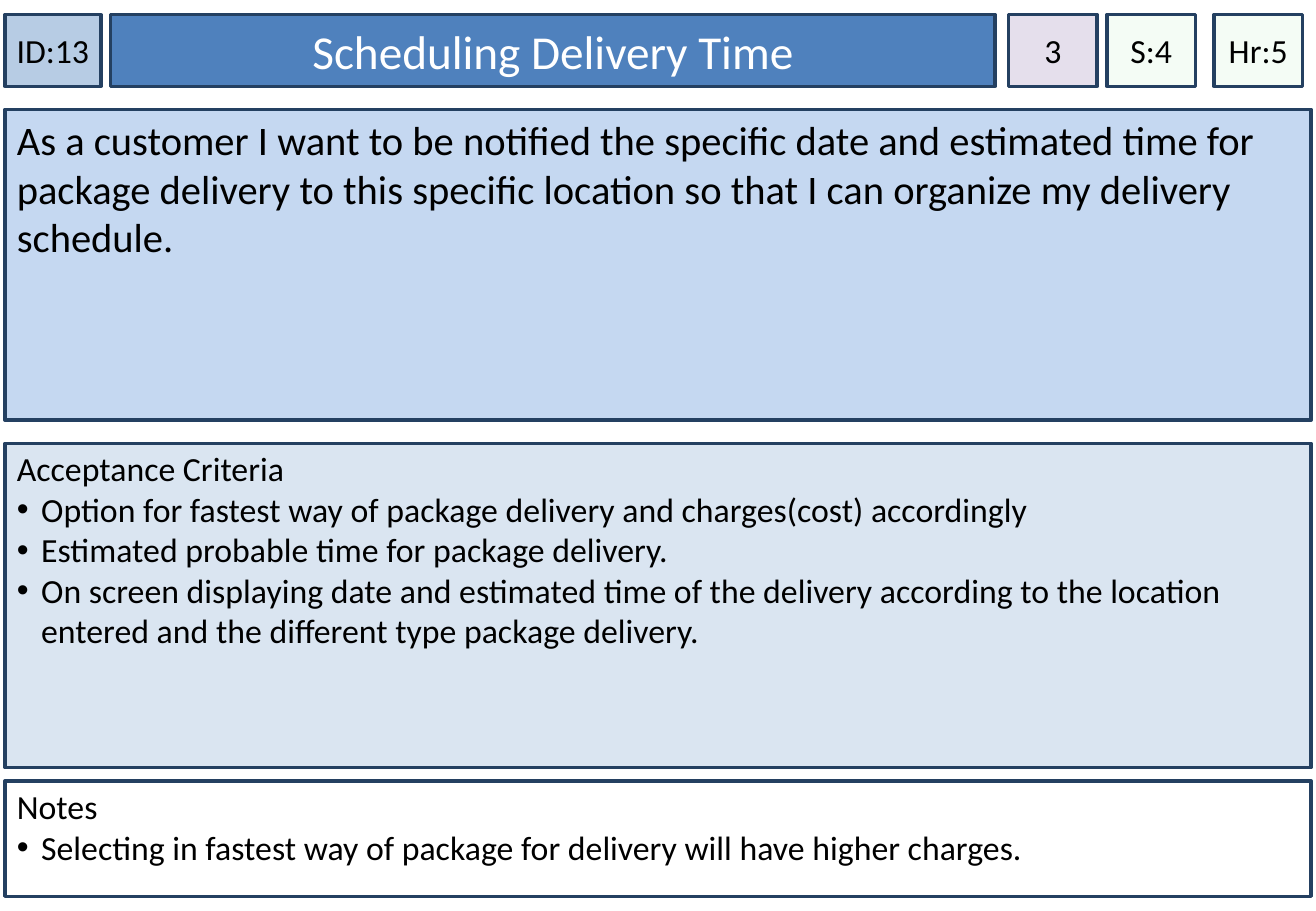
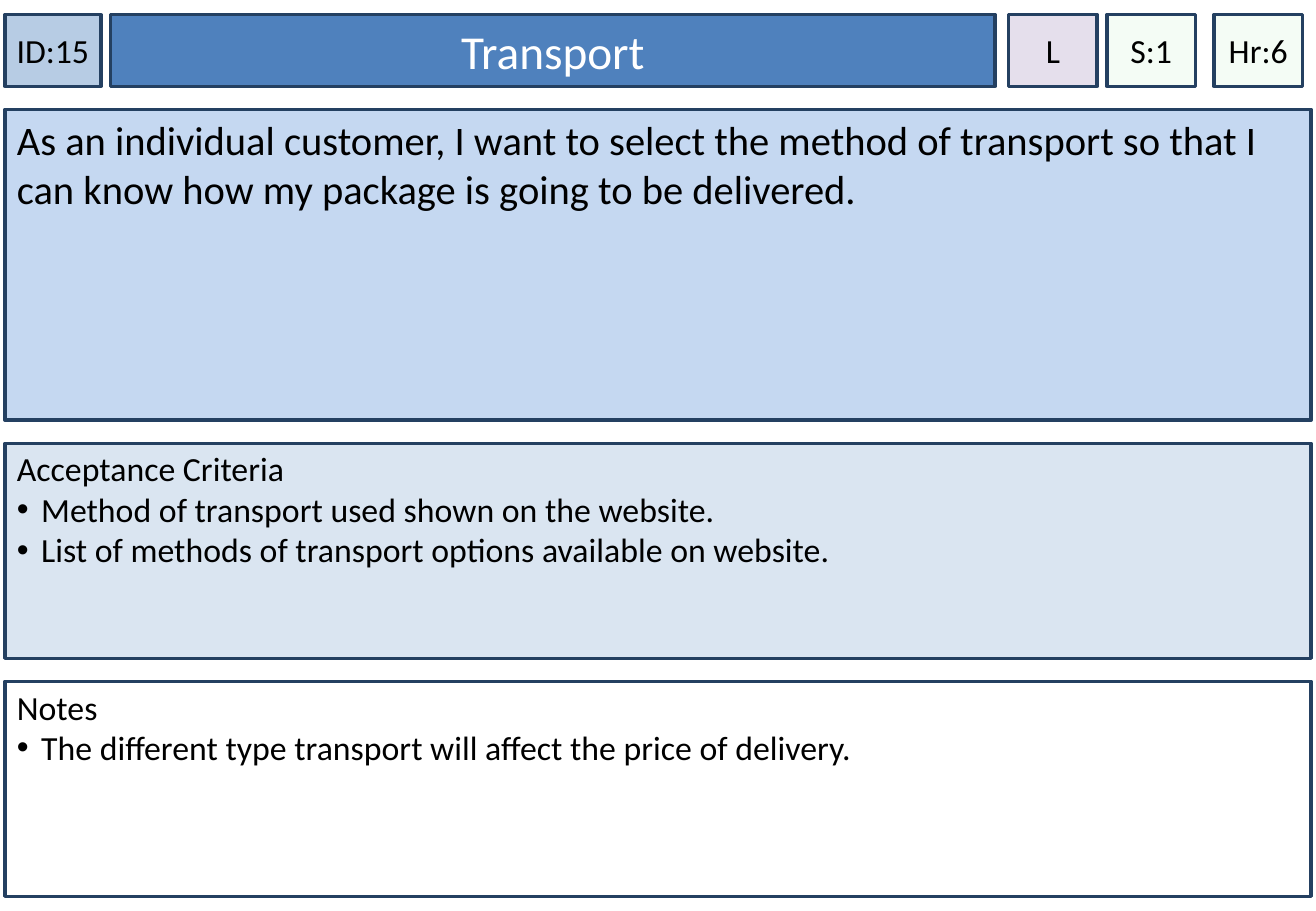
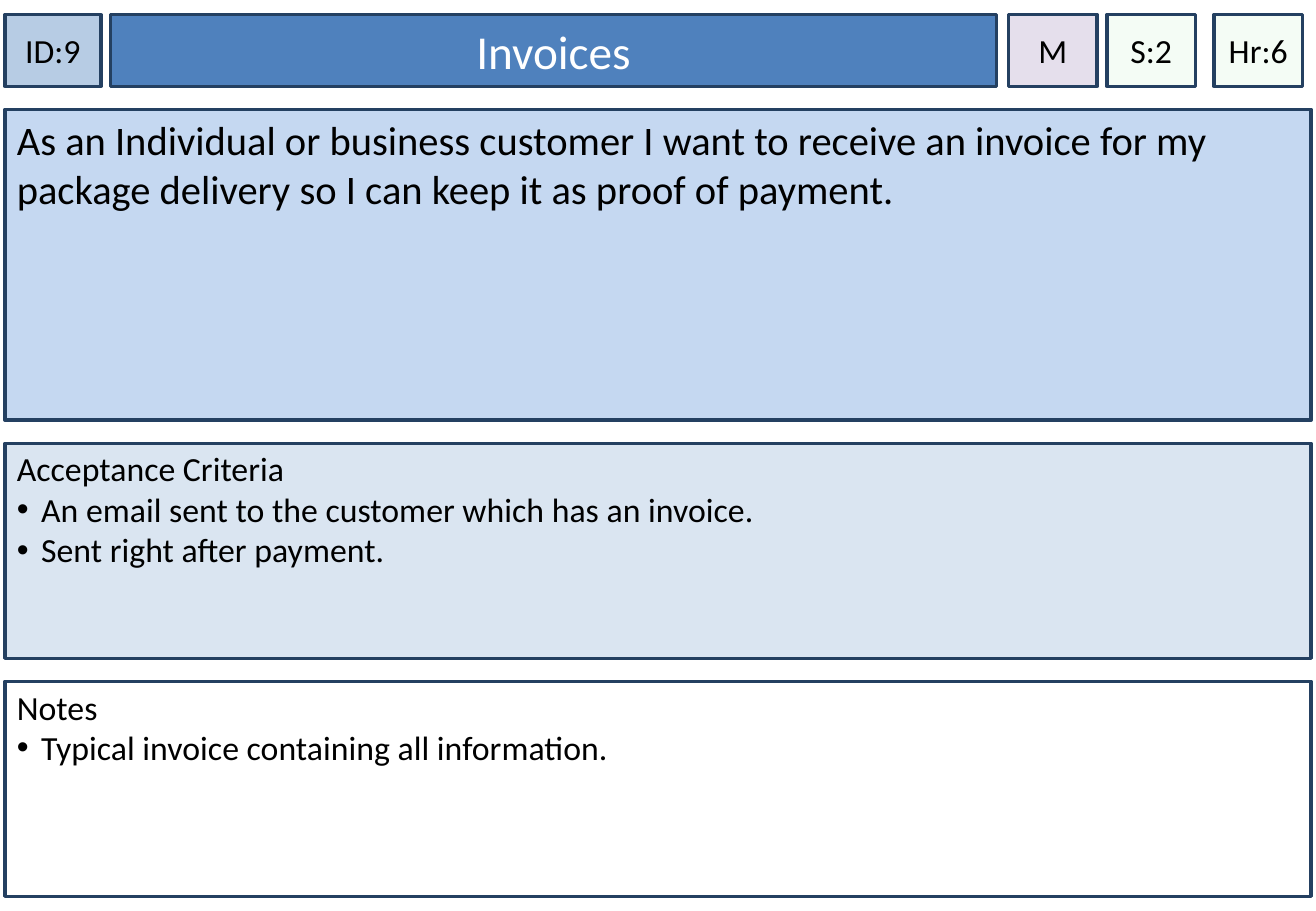
"""Builds three user story cards with a header row, story, criteria and notes."""
from lxml.etree import SubElement
from pptx import Presentation
from pptx.dml.color import RGBColor
from pptx.enum.shapes import MSO_SHAPE
from pptx.enum.text import MSO_ANCHOR, MSO_AUTO_SIZE, PP_ALIGN
from pptx.oxml.ns import qn
from pptx.util import Pt

PX = 9144
BLACK = RGBColor(0x00, 0x00, 0x00)
WHITE = RGBColor(0xFF, 0xFF, 0xFF)
NAVY = RGBColor(0x24, 0x40, 0x61)
BLUE = RGBColor(0x4F, 0x81, 0xBD)
ID_BLUE = RGBColor(0xB7, 0xCC, 0xE4)
STORY_BLUE = RGBColor(0xC5, 0xD8, 0xF1)
CRITERIA_BLUE = RGBColor(0xDA, 0xE5, 0xF1)
LILAC = RGBColor(0xE5, 0xDF, 0xEC)
GREEN = RGBColor(0xCC, 0xF0, 0xCD)

LEFT, WIDTH, BOTTOM = 4, 1075, 738
HEAD_TOP, HEAD_H = 12, 59
STORY_TOP, CRITERIA_TOP = 90, 365

BADGE = {"margin_left": 0, "margin_right": 0, "margin_top": 5 * PX,
         "margin_bottom": 5 * PX, "vertical_anchor": MSO_ANCHOR.MIDDLE}
TITLE = BADGE | {"margin_left": 10 * PX, "margin_right": 10 * PX}
STORY = TITLE | {"vertical_anchor": MSO_ANCHOR.TOP}
LISTING = STORY | {"margin_top": 4 * PX}

CARDS = [
    {
        "id": "ID:13", "title": "Scheduling Delivery Time", "title_w": 728,
        "priority": "3", "sprint": "S:4", "hours": "Hr:5",
        "story": "As a customer I want to be notified the specific date and estimated time for "
                 "package delivery to this specific location so that I can organize my delivery schedule.",
        "criteria": [
            "Option for fastest way of package delivery and charges(cost) accordingly",
            "Estimated probable time for package delivery.",
            "On screen displaying date and estimated time of the delivery according to the "
            "location entered and the different type package delivery.",
        ],
        "criteria_h": 267,
        "notes": ["Selecting in fastest way of package for delivery will have higher charges."],
        "notes_top": 643,
    },
    {
        "id": "ID:15", "title": "Transport", "title_w": 728,
        "priority": "L", "sprint": "S:1", "hours": "Hr:6",
        "story": "As an individual customer, I want to select the method of transport so that "
                 "I can know how my package is going to be delivered.",
        "criteria": [
            "Method of transport used shown on the website.",
            "List of methods of transport options available on website.",
        ],
        "criteria_h": 177,
        "notes": ["The different type transport will affect the price of delivery."],
        "notes_top": 561,
    },
    {
        "id": "ID:9", "title": "Invoices", "title_w": 729,
        "priority": "M", "sprint": "S:2", "hours": "Hr:6",
        "story": "As an Individual or business customer I want to receive an invoice for my "
                 "package delivery so I can keep it as proof of payment.",
        "criteria": [
            "An email sent to the customer which has an invoice.",
            "Sent right after payment.",
        ],
        "criteria_h": 177,
        "notes": ["Typical invoice containing all information."],
        "notes_top": 561,
    },
]


def add_bullet(p):
    pPr = p._p.get_or_add_pPr()
    pPr.set("marL", str(20 * PX))
    pPr.set("indent", str(-20 * PX))
    clr = SubElement(pPr, qn("a:buClr"))
    SubElement(clr, qn("a:srgbClr"), val=str(BLACK))
    SubElement(pPr, qn("a:buFont"), typeface="Arial")
    SubElement(pPr, qn("a:buChar"), char="•")


def format_box(sp, box, fill, lines, frame, size=20, color=BLACK, align=PP_ALIGN.LEFT):
    sp.left, sp.top, sp.width, sp.height = (v * PX for v in box)
    sp.fill.solid()
    sp.fill.fore_color.rgb = fill
    sp.line.color.rgb = NAVY
    sp.line.width = Pt(2)
    tf = sp.text_frame
    tf.word_wrap = True
    tf.auto_size = MSO_AUTO_SIZE.NONE
    for name, value in frame.items():
        setattr(tf, name, value)
    for i, line in enumerate(lines):
        p = tf.add_paragraph() if i else tf.paragraphs[0]
        p.alignment = align
        if i:
            add_bullet(p)
        r = p.add_run()
        r.text = line
        for name, value in {"name": "Calibri", "size": Pt(size)}.items():
            setattr(r.font, name, value)
        r.font.color.rgb = color


prs = Presentation()
prs.slide_width, prs.slide_height = 1083 * PX, 750 * PX

for card in CARDS:
    s = prs.slides.add_slide(prs.slide_layouts[5])
    format_box(s.shapes.title, (91, HEAD_TOP, card["title_w"], HEAD_H), BLUE,
               [card["title"]], TITLE, 28, WHITE, PP_ALIGN.CENTER)

    badges = [("id", LEFT, 79, ID_BLUE), ("priority", 830, 73, LILAC),
              ("sprint", 911, 73, GREEN), ("hours", 999, 73, GREEN)]
    for key, left, width, fill in badges:
        sp = s.shapes.add_shape(MSO_SHAPE.RECTANGLE, 0, 0, PX, PX)
        sp.shadow.inherit = False
        format_box(sp, (left, HEAD_TOP, width, HEAD_H), fill, [card[key]], BADGE,
                   align=PP_ALIGN.CENTER)
        if fill == GREEN:
            clr = sp._element.spPr.find(qn("a:solidFill")).find(qn("a:srgbClr"))
            SubElement(clr, qn("a:alpha"), val="20000")

    panels = [
        (STORY_TOP, 256, STORY_BLUE, [card["story"]], STORY, 24),
        (CRITERIA_TOP, card["criteria_h"], CRITERIA_BLUE,
         ["Acceptance Criteria", *card["criteria"]], LISTING, 20),
        (card["notes_top"], BOTTOM - card["notes_top"], WHITE,
         ["Notes", *card["notes"]], LISTING, 20),
    ]
    for top, height, fill, lines, frame, size in panels:
        sp = s.shapes.add_shape(MSO_SHAPE.RECTANGLE, 0, 0, PX, PX)
        sp.shadow.inherit = False
        format_box(sp, (LEFT, top, WIDTH, height), fill, lines, frame, size)

prs.save("out.pptx")
